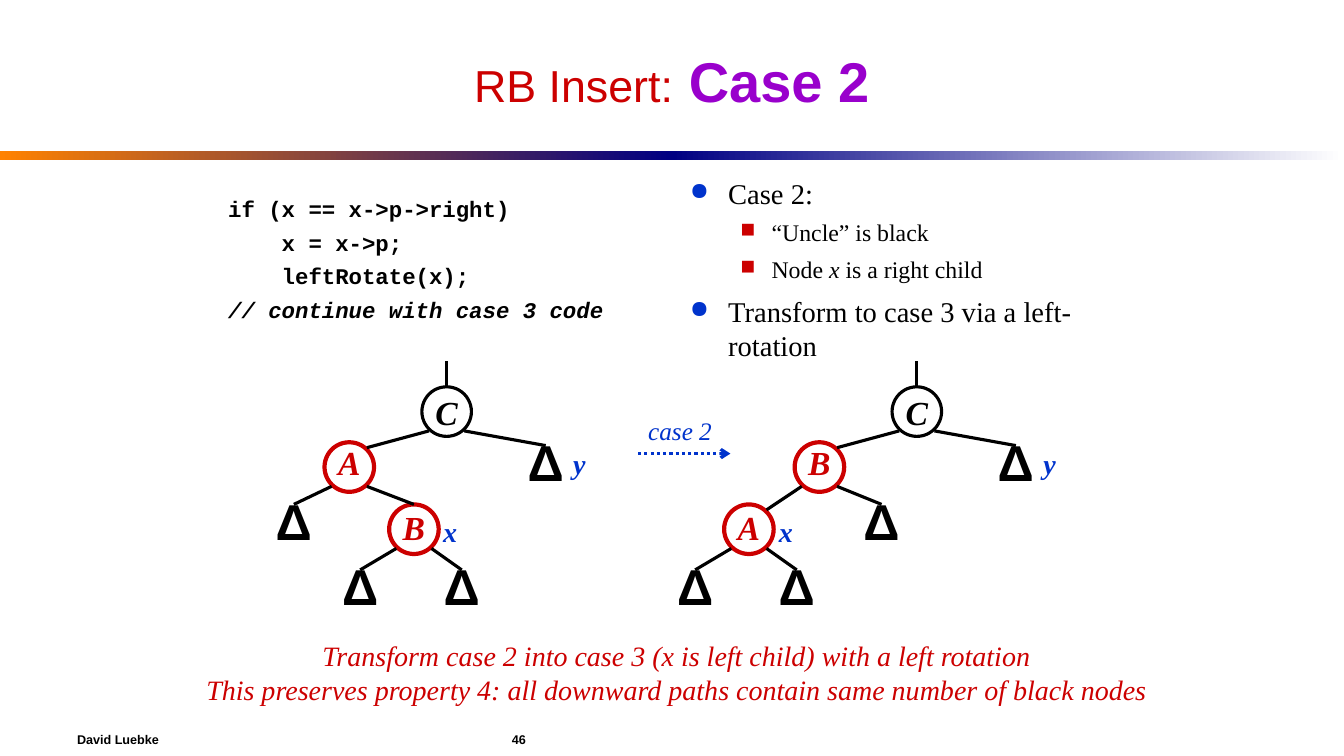
from lxml.etree import SubElement
from pptx import Presentation
from pptx.dml.color import RGBColor
from pptx.enum.dml import MSO_LINE
from pptx.enum.shapes import MSO_CONNECTOR as Link, MSO_SHAPE as Form
from pptx.enum.text import MSO_ANCHOR as Anchor, MSO_AUTO_SIZE as Fit, PP_ALIGN as Align
from pptx.oxml.ns import qn
from pptx.util import Inches, Pt

INK = {"black": "000000", "white": "FFFFFF", "red": "CC0000", "blue": "0033CC",
       "violet": "9900CC", "orange": "FF8200", "navy": "000082"}
SANS, SERIF, MONO = "Arial", "Times New Roman", "Courier New"
CELL = Inches(1) / 12  # 160 columns by 90 rows
NODE = 5.9             # node diameter in cells
EDGE = (2.1, 2.3)      # where a slanted edge meets a circle
BULLET = {0: ("●", "blue", 0.38, 0.38, 7), 1: ("■", "red", 0.81, 0.31, 6)}


def ink(name):
    return RGBColor.from_string(INK[name])


def cells(*counts):
    return [round(n * CELL) for n in counts]


class Board:
    """Holds the deck, the current slide and the ways to draw on it."""

    def __init__(self):
        self.deck = Presentation()
        self.deck.slide_width, self.deck.slide_height = Inches(13.34), Inches(7.5)
        self.slide = self.deck.slides.add_slide(self.deck.slide_layouts[5])
        self.shapes = self.slide.shapes

    def run(self, para, text, size, colour="black", font=SERIF, style=""):
        """Add one run; style may hold b for bold and i for italic."""
        run = para.add_run()
        run.text = text
        run.font.size, run.font.name = Pt(size), font
        run.font.color.rgb = ink(colour)
        run.font.bold, run.font.italic = "b" in style, "i" in style

    def frame(self, shape, wrap=False, anchor=Anchor.MIDDLE):
        frame = shape.text_frame
        frame.word_wrap, frame.auto_size = wrap, Fit.NONE
        frame.vertical_anchor = anchor
        return frame

    def title(self, box, runs):
        shape = self.shapes.title
        shape.left, shape.top, shape.width, shape.height = cells(*box)
        para = self.frame(shape, True).paragraphs[0]
        para.alignment = Align.CENTER
        for run in runs:
            self.run(para, *run)

    def text(self, box, lines, align=Align.CENTER, wrap=False,
             anchor=Anchor.MIDDLE, gap=0):
        """Add a text box; each line is a list of runs."""
        frame = self.frame(self.shapes.add_textbox(*cells(*box)), wrap, anchor)
        for i, runs in enumerate(lines):
            para = frame.add_paragraph() if i else frame.paragraphs[0]
            para.alignment = align
            para.space_before = Pt(gap if i else 0)
            for run in runs:
                self.run(para, *run)
        return frame

    def bullets(self, box, items):
        frame = self.text(box, [runs for _, runs in items], Align.LEFT, True, Anchor.TOP)
        for i, (para, (level, _)) in enumerate(zip(frame.paragraphs, items)):
            mark, colour, left, hang, gap = BULLET[level]
            para.level = level
            para.space_before = Pt(gap if i else 0)
            props = para._p.get_or_add_pPr()
            props.set("marL", str(Inches(left)))
            props.set("indent", str(-Inches(hang)))
            tint = SubElement(props, qn("a:buClr"))
            SubElement(tint, qn("a:srgbClr")).set("val", INK[colour])
            SubElement(props, qn("a:buSzPct")).set("val", "85000")
            SubElement(props, qn("a:buChar")).set("char", mark)

    def bar(self, box, start, end):
        shape = self.shapes.add_shape(Form.RECTANGLE, *cells(*box))
        shape.shadow.inherit = False
        shape.line.fill.background()
        shape.fill.gradient()
        shape.fill.gradient_angle = 0
        for stop, name in zip(shape.fill.gradient_stops, (start, end)):
            stop.color.rgb = ink(name)

    def line(self, x1, y1, x2, y2, colour="black", arrow=False):
        link = self.shapes.add_connector(Link.STRAIGHT, *cells(x1, y1, x2, y2))
        link.line.color.rgb, link.line.width = ink(colour), Pt(2.25)
        if arrow:
            link.line.dash_style = MSO_LINE.ROUND_DOT
            SubElement(link.line._ln, qn("a:tailEnd")).set("type", "arrow")
        SubElement(link._element.spPr, qn("a:effectLst"))

    def node(self, name, x, y, colour="black", lead=0.6):
        leaf = name == "Δ"
        shape = self.shapes.add_shape(
            Form.OVAL, *cells(x - NODE / 2, y - NODE / 2, NODE, NODE))
        shape.shadow.inherit = False
        if leaf:
            shape.fill.background()
            shape.line.fill.background()
        else:
            shape.fill.solid()
            shape.fill.fore_color.rgb = ink("white")
            shape.line.color.rgb = ink(colour)
            shape.line.width = Pt(3 if colour == "red" else 2.25)
        para = self.frame(shape).paragraphs[0]
        para.alignment, para.line_spacing = Align.CENTER, lead
        look = (36, colour, SANS, "b") if leaf else (24, colour, SERIF, "bi")
        self.run(para, name, *look)

    def tree(self, node, *kids):
        """Draw a node, then each child subtree and the edge down to it."""
        name, x, y = node[:3]
        self.node(*node)
        dx, dy = EDGE
        for kid in kids:
            label, kx, ky = kid[0][:3]
            self.tree(*kid)
            side = -1 if kx < x else 1
            if label != "Δ" and side < 0:
                end = (kx + dx, ky - dy)
            else:
                end = (kx, ky - NODE / 2)
            self.line(x + side * dx, y + dy, *end)

    def label(self, text, x, y, size=20, style="bi"):
        self.text((x - 5, y - 2.6, 10, 5.2), [[(text, size, "blue", SERIF, style)]])


def leaf(x, y):
    return (("Δ", x, y),)


def low(name, x):
    """Lower red node with its two leaves."""
    return (name, x, 63, "red", 0.9), leaf(x - 6.4, 70.8), leaf(x + 5.7, 70.8)


def main():
    board = Board()
    board.bar((0, 18, 80, 1), "orange", "navy")
    board.bar((80, 18, 80, 1), "navy", "white")
    board.title((8, 3, 144, 13), [
        ("RB Insert:", 32, "red", SANS), (" ", 40, "red", SANS),
        ("Case 2", 40, "violet", SANS, "b")])

    code = [("if (x == x->p->right)", "b"), ("    x = x->p;", "b"),
            ("    leftRotate(x);", "b"), ("// continue with case 3 code", "bi")]
    board.text((26, 22.6, 53, 22), [[(row, 16, "black", MONO, style)] for row, style in code],
               Align.LEFT, True, Anchor.TOP, 5)
    board.bullets((81, 20.3, 53, 23), [
        (0, [("Case 2:", 20.4)]),
        (1, [("“Uncle” is black", 17)]),
        (1, [("Node ", 17), ("x", 17, "black", SERIF, "i"), (" is a right child", 17)]),
        (0, [("Transform to case 3 via a left-rotation", 20.4)])])

    before = low("B", 49.3), leaf(35, 63)
    after = low("A", 89.2), leaf(105, 63)
    for shift, name, kids, mark in ((0, "A", before, 53.6), (56, "B", after, 93.6)):
        root = 53.2 + shift
        board.line(root, 46, root, 43)
        board.tree(("C", root, 49, "black", 1.0),
                   (("B" if name == "B" else "A", 41.6 + shift, 55.6, "red", 0.7), *kids),
                   leaf(65 + shift, 56))
        board.label("y", 69 + shift, 55.2)
        board.label("x", mark, 63.2)

    board.label("case 2", 81, 51.2, 18, "i")
    board.line(76, 54, 87, 54, "blue", True)

    notes = ("Transform case 2 into case 3 (x is left child) with a left rotation",
             "This preserves property 4: all downward paths contain same number of black nodes")
    board.text((23.2, 75.4, 114.8, 9.2), [[(note, 20, "red", SERIF, "i")] for note in notes])
    for x, word in ((8, "David Luebke"), (59.8, "46")):
        board.text((x, 86, 24, 4), [[(word, 9, "black", SANS, "b")]], Align.LEFT, True)
    board.deck.save("out.pptx")


if __name__ == "__main__":
    main()
